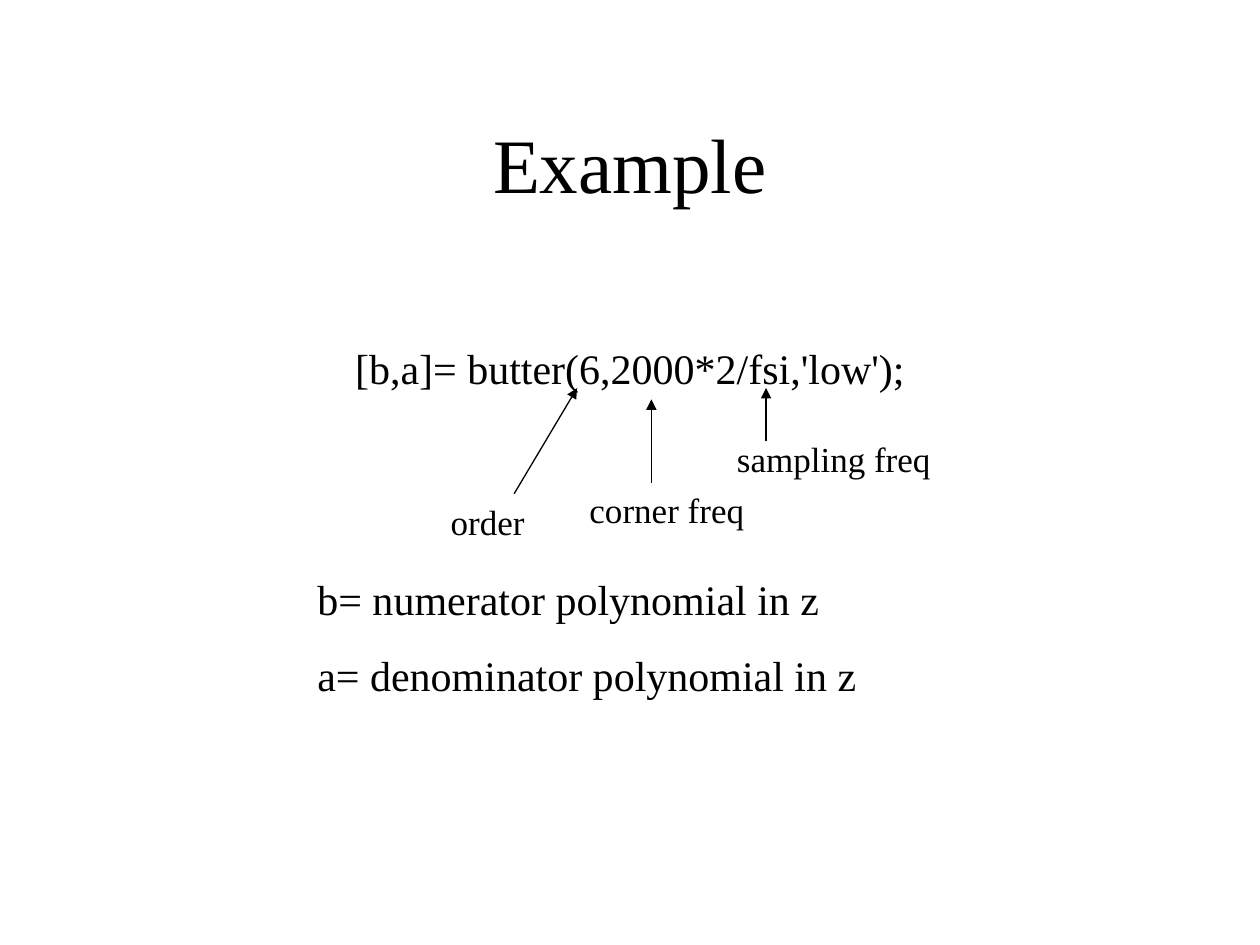
from dataclasses import dataclass

from lxml import etree
from pptx import Presentation
from pptx.dml.color import RGBColor
from pptx.enum import shapes, text
from pptx.oxml.ns import qn
from pptx.slide import Slide
from pptx.text.text import TextFrame
from pptx.util import Inches, Pt


@dataclass(frozen=True)
class Theme:
    font: str = "Times New Roman"
    ink: RGBColor = RGBColor(0, 0, 0)
    paper: RGBColor = RGBColor(255, 255, 255)
    title: float = 44
    body: float = 24
    label: float = 20
    line: float = 0.75


@dataclass(frozen=True)
class Note:
    lines: tuple[str, ...]
    left: float
    top: float
    width: float
    height: float
    size: float
    before: float = 0
    wrap: bool = True
    align: text.PP_ALIGN = text.PP_ALIGN.LEFT


@dataclass(frozen=True)
class Arrow:
    x: float
    y: float
    tip_x: float
    tip_y: float


THEME = Theme()
LEFT, CENTER = text.PP_ALIGN.LEFT, text.PP_ALIGN.CENTER
BODY, LABEL = THEME.body, THEME.label

NOTES = (
    Note(("[b,a]= butter(6,2000*2/fsi,'low');",),
         2.72, 2.67, 4.56, 0.5, BODY, wrap=False),
    Note(("b= numerator polynomial in z", "a= denominator polynomial in z"),
         2.42, 4.5, 6.75, 1.72, BODY, 15),
    Note(("order",), 3.33, 3.92, 1.08, 0.44, LABEL, 12.5, align=CENTER),
    Note(("corner freq",), 4.58, 3.83, 1.58, 0.44, LABEL, 12.5),
    Note(("sampling freq",), 5.75, 3.42, 2.08, 0.44, LABEL, 12.5),
)

ARROWS = (
    Arrow(4.08, 3.92, 4.58, 3.08),
    Arrow(5.17, 3.83, 5.17, 3.17),
    Arrow(6.08, 3.5, 6.08, 3.08),
)


def assign(item: object, values: dict[str, object]) -> None:
    for key, value in values.items():
        setattr(item, key, value)


def write(frame: TextFrame, lines: tuple[str, ...], size: float,
          align: text.PP_ALIGN, before: float = 0) -> None:
    frame.text = "\n".join(lines)
    for para in frame.paragraphs:
        assign(para, {"alignment": align, "space_before": Pt(before)})
        for run in para.runs:
            assign(run.font, {"name": THEME.font, "size": Pt(size)})
            run.font.color.rgb = THEME.ink


def draw_title(slide: Slide, words: str) -> None:
    title = slide.shapes.title
    assign(title, {"left": Inches(0.75), "top": Inches(0.67),
                   "width": Inches(8.5), "height": Inches(1.25)})
    title.text_frame.vertical_anchor = text.MSO_ANCHOR.MIDDLE
    write(title.text_frame, (words,), THEME.title, CENTER)


def draw_note(slide: Slide, note: Note) -> None:
    box = slide.shapes.add_textbox(
        Inches(note.left), Inches(note.top),
        Inches(note.width), Inches(note.height))
    assign(box.text_frame, {
        "word_wrap": note.wrap,
        "auto_size": text.MSO_AUTO_SIZE.SHAPE_TO_FIT_TEXT,
    })
    write(box.text_frame, note.lines, note.size, note.align, note.before)


def draw_arrow(slide: Slide, arrow: Arrow) -> None:
    link = slide.shapes.add_connector(
        shapes.MSO_CONNECTOR.STRAIGHT,
        Inches(arrow.x), Inches(arrow.y),
        Inches(arrow.tip_x), Inches(arrow.tip_y))
    link.line.width = Pt(THEME.line)
    link.line.color.rgb = THEME.ink
    props = link.line._get_or_add_ln()
    etree.SubElement(props, qn("a:tailEnd"), type="triangle")
    etree.SubElement(props.getparent(), qn("a:effectLst"))


def main() -> None:
    deck = Presentation()
    assign(deck, {"slide_width": Inches(10), "slide_height": Inches(7.5)})
    slide = deck.slides.add_slide(deck.slide_layouts.get_by_name("Title Only"))
    slide.background.fill.solid()
    slide.background.fill.fore_color.rgb = THEME.paper
    draw_title(slide, "Example")
    for note in NOTES:
        draw_note(slide, note)
    for arrow in ARROWS:
        draw_arrow(slide, arrow)
    deck.save("out.pptx")


if __name__ == "__main__":
    main()
